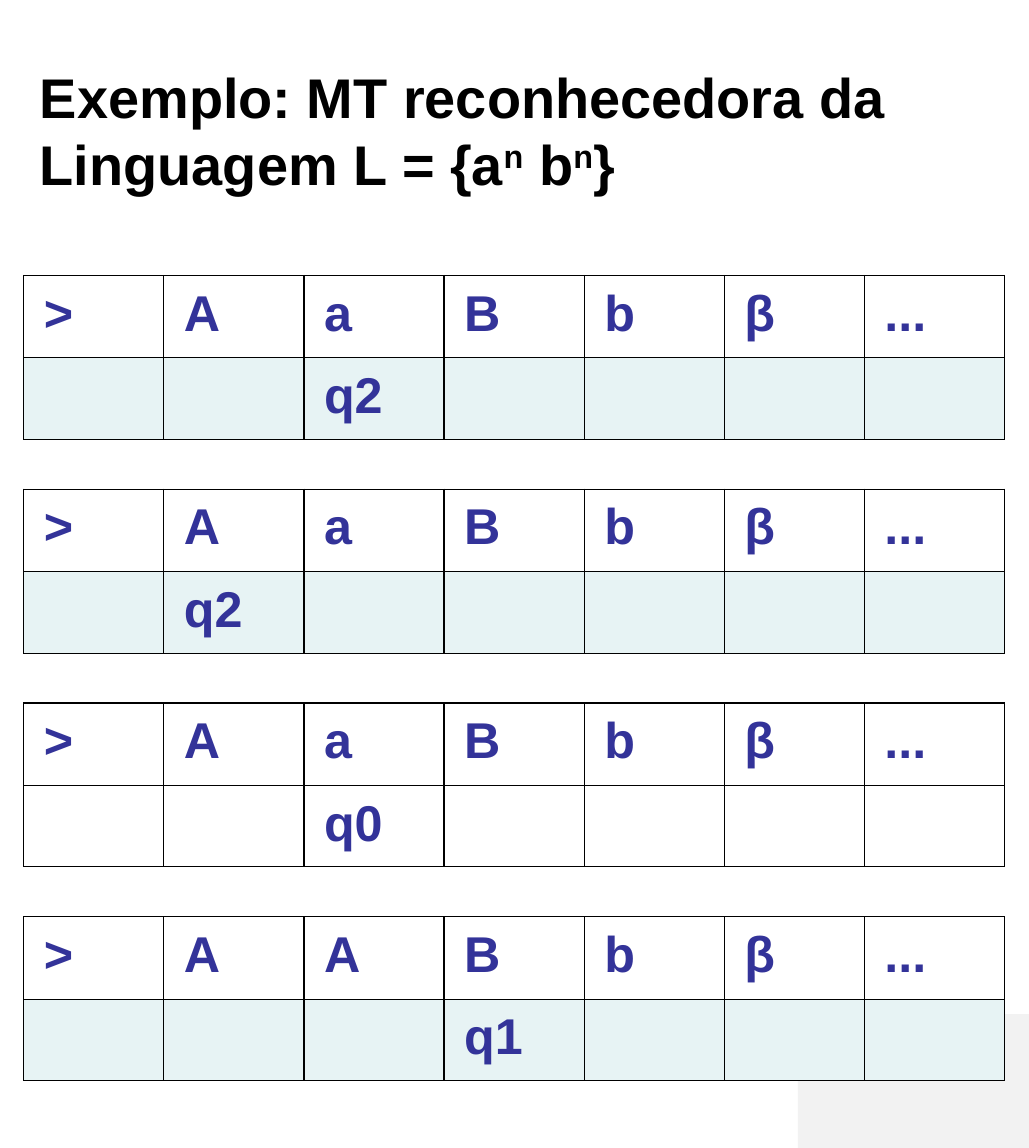
"""Build a slide tracing a Turing machine that recognises a^n b^n."""
from lxml import etree
from pptx import Presentation
from pptx import util as u
from pptx.dml.color import RGBColor
from pptx.enum import shapes, text
from pptx.oxml import ns

BLACK = RGBColor(0x00, 0x00, 0x00)
INDIGO = RGBColor(0x33, 0x33, 0x99)
PALE = RGBColor(0xE7, 0xF3, 0xF4)
GREY = RGBColor(0xF2, 0xF2, 0xF2)


def style(font, size, color):
    font.name = "Arial"
    font.size = u.Pt(size)
    font.bold = True
    font.color.rgb = color


def border(cell):
    props = cell._tc.get_or_add_tcPr()
    for spot, side in enumerate(("lnL", "lnR", "lnT", "lnB")):
        line = etree.Element(ns.qn("a:" + side), w=str(u.Pt(0.45)))
        fill = etree.SubElement(line, ns.qn("a:solidFill"))
        etree.SubElement(fill, ns.qn("a:srgbClr"), val=str(BLACK))
        props.insert(spot, line)


deck = Presentation()
deck.slide_width = u.Cm(13)
deck.slide_height = u.Cm(14.5)
slide = deck.slides.add_slide(deck.slide_layouts[5])

title = slide.shapes.title
title.left, title.top = u.Cm(0), u.Cm(0)
title.width, title.height = u.Cm(13), u.Cm(3.28)
frame = title.text_frame
frame.word_wrap = True
frame.vertical_anchor = text.MSO_ANCHOR.MIDDLE
head = frame.paragraphs[0]
head.alignment = text.PP_ALIGN.LEFT
head._p.get_or_add_pPr().set("marL", str(u.Cm(0.25)))
parts = (("Exemplo: MT reconhecedora da Linguagem L = {a", 0),
         ("n", 30), (" b", 0), ("n", 30), ("}", 0))
for words, lift in parts:
    run = head.add_run()
    run.text = words
    style(run.font, 20, BLACK)
    if lift:
        run._r.get_or_add_rPr().set("baseline", str(lift * 1000))

corner = slide.shapes.add_shape(shapes.MSO_SHAPE.RECTANGLE, u.Cm(10.08),
                                u.Cm(12.81), u.Cm(2.92), u.Cm(1.69))
corner.shadow.inherit = False
corner.fill.solid()
corner.fill.fore_color.rgb = GREY
corner.line.fill.background()

steps = (("> A a B b β ...", "q2", 2, True),
         ("> A a B b β ...", "q2", 1, True),
         ("> A a B b β ...", "q0", 2, False),
         ("> A A B b β ...", "q1", 3, True))
for step, (tape, state, pos, tint) in enumerate(steps):
    signs = tape.split()
    count = len(signs)
    grid = slide.shapes.add_table(2, count, u.Cm(0.3), u.Cm(3.48 + 2.7 * step),
                                  u.Cm(12.4), u.Cm(2.06)).table
    grid.first_row = False
    grid.horz_banding = False
    for col in grid.columns:
        col.width = u.Cm(1.77)
    grid.rows[0].height = u.Cm(1.04)
    grid.rows[1].height = u.Cm(1.02)
    marks = [state if col == pos else "" for col in range(count)]
    for row, line in enumerate((signs, marks)):
        for col, sign in enumerate(line):
            cell = grid.cell(row, col)
            if row == 1 and tint:
                cell.fill.solid()
                cell.fill.fore_color.rgb = PALE
            else:
                cell.fill.background()
            border(cell)
            if sign:
                cell.text_frame.text = sign
                style(cell.text_frame.paragraphs[0].runs[0].font, 18, INDIGO)

deck.save("out.pptx")
